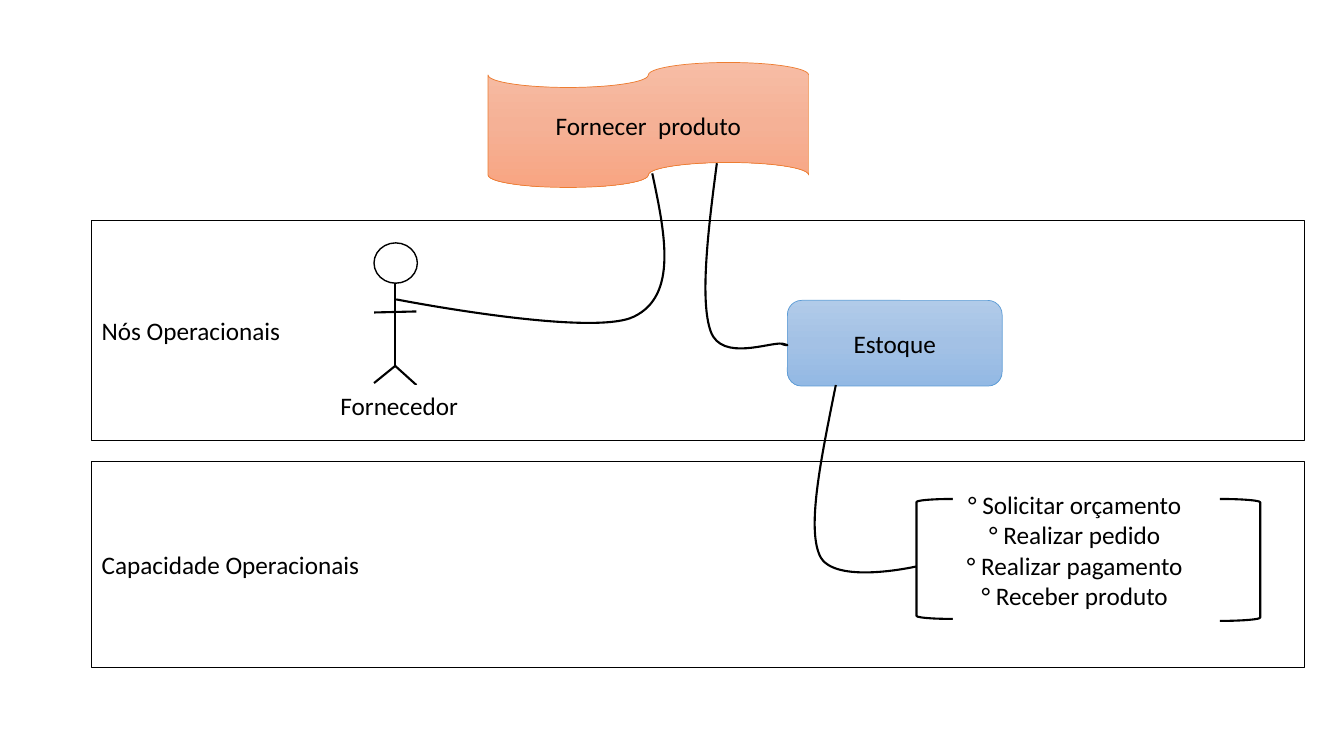
import copy
from dataclasses import dataclass

import pptx
import pptx.dml.color
import pptx.enum.shapes
import pptx.enum.text
import pptx.oxml
import pptx.oxml.ns
import pptx.util

Inches = pptx.util.Inches
Pt = pptx.util.Pt
SHAPE = pptx.enum.shapes.MSO_SHAPE
ALIGN = pptx.enum.text.PP_ALIGN
ANCHOR = pptx.enum.text.MSO_ANCHOR
NS = pptx.oxml.ns.nsdecls("a")


@dataclass(frozen=True)
class Theme:
    font: str = "Calibri"
    size: int = 18
    ink: str = "000000"
    paper: str = "FFFFFF"
    orange: tuple = ("F7BDA5", "F5B196", "F8A582")
    orange_line: str = "ED7D31"
    blue: tuple = ("B1CBE9", "A3C1E5", "93B9E4")
    blue_line: str = "5B9BD5"
    thin: float = 0.5
    frame: float = 1
    stroke: float = 1.5


THEME = Theme()


def rgb(value):
    return pptx.dml.color.RGBColor.from_string(value)


def apply(target, values):
    for name, value in values.items():
        setattr(target, name, value)


def set_line(line, color, width):
    if color is None:
        line.fill.background()
    else:
        line.color.rgb = rgb(color)
        line.width = Pt(width)


def set_fill(sp, color):
    """Fill with nothing, one colour, or an even vertical gradient."""
    fill = sp.fill
    if color is None:
        fill.background()
    elif isinstance(color, str):
        fill.solid()
        fill.fore_color.rgb = rgb(color)
    else:
        fill.gradient()
        fill.gradient_angle = 270
        gs_list = sp._element.spPr.find(".//" + pptx.oxml.ns.qn("a:gsLst"))
        while len(gs_list) < len(color):
            gs_list.append(copy.deepcopy(gs_list[0]))
        for i, (stop, value) in enumerate(zip(fill.gradient_stops, color)):
            stop.position = i / (len(color) - 1)
            stop.color.rgb = rgb(value)


def set_text(sp, lines, align, margin_bottom=0.05):
    tf = sp.text_frame
    apply(tf, {"word_wrap": True, "vertical_anchor": ANCHOR.MIDDLE,
               "auto_size": pptx.enum.text.MSO_AUTO_SIZE.NONE,
               "margin_bottom": Inches(margin_bottom)})
    for i, text in enumerate(lines):
        p = tf.add_paragraph() if i else tf.paragraphs[0]
        apply(p, {"alignment": align, "line_spacing": 1.0,
                  "space_before": Pt(0), "space_after": Pt(0)})
        r = p.add_run()
        r.text = text
        apply(r.font, {"name": THEME.font, "size": Pt(THEME.size)})
        r.font.color.rgb = rgb(THEME.ink)


def add_box(slide, kind, at, fill=None, line=THEME.ink, width=THEME.frame,
            text=None, align=ALIGN.CENTER):
    sp = slide.shapes.add_shape(kind, *map(Inches, at))
    sp.shadow.inherit = False
    set_fill(sp, fill)
    set_line(sp.line, line, width)
    if text:
        set_text(sp, [text], align)


def add_line(slide, start, end):
    sp = slide.shapes.add_connector(
        pptx.enum.shapes.MSO_CONNECTOR.STRAIGHT, *map(Inches, start + end))
    set_line(sp.line, THEME.ink, THEME.stroke)
    sp._element.spPr.append(pptx.oxml.parse_xml(f"<a:effectLst {NS}/>"))


def add_curve(slide, at, start, *segments):
    """Draw cubic segments (two handles and an end point) in the frame at."""
    left, top, width, height = at
    right, bottom = left + width, top + height
    builder = slide.shapes.build_freeform(Inches(left), Inches(top), scale=1.0)
    builder.add_line_segments(
        [(Inches(x), Inches(y)) for x, y in ((right, top), (right, bottom))],
        close=False)
    sp = builder.convert_to_shape()

    # Swap the frame's straight outline for the curve
    def point(xy):
        x, y = Inches(xy[0] - left), Inches(xy[1] - top)
        return f'<a:pt x="{x}" y="{y}"/>'

    outline = sp._element.spPr.find(".//" + pptx.oxml.ns.qn("a:pathLst"))[0]
    for step in list(outline):
        outline.remove(step)
    outline.append(pptx.oxml.parse_xml(
        f"<a:moveTo {NS}>{point(start)}</a:moveTo>"))
    for segment in segments:
        points = "".join(map(point, segment))
        outline.append(pptx.oxml.parse_xml(
            f"<a:cubicBezTo {NS}>{points}</a:cubicBezTo>"))
    sp.shadow.inherit = False
    set_fill(sp, None)
    set_line(sp.line, THEME.ink, THEME.stroke)


def add_band(slide, top, height, label):
    add_box(slide, SHAPE.RECTANGLE, (0.91, top, 12.03, height), THEME.paper,
            text=label, align=ALIGN.LEFT)


def add_actor(slide, name):
    left, mid, right = 3.71, 3.92, 4.13
    hip = (mid, 3.63)
    add_box(slide, SHAPE.FLOWCHART_CONNECTOR, (left, 2.41, 0.43, 0.4), THEME.paper)
    for start, end in (((mid, 2.81), hip), ((left, 3.1), (right, 3.09)),
                       (hip, (right, 3.82)), (hip, (left, 3.8))):
        add_line(slide, start, end)
    add_box(slide, SHAPE.RECTANGLE, (3.25, 3.82, 1.42, 0.41), THEME.paper,
            line=None, text=name)


def add_list(slide, at, lines):
    """Place the body placeholder in front, without the layout's bullets."""
    sp = slide.placeholders[1]
    apply(sp, dict(zip(("left", "top", "width", "height"), map(Inches, at))))
    set_fill(sp, THEME.paper)
    set_text(sp, lines, ALIGN.CENTER, margin_bottom=0.35)
    for p in sp.text_frame.paragraphs:
        pPr = p._p.get_or_add_pPr()
        for name in ("marL", "indent"):
            pPr.set(name, "0")
        pPr.append(pptx.oxml.parse_xml(f"<a:buNone {NS}/>"))
    slide.shapes._spTree.append(sp._element)


def main():
    prs = pptx.Presentation()
    prs.slide_width, prs.slide_height = Inches(13.33), Inches(7.5)
    slide = prs.slides.add_slide(prs.slide_layouts[1])
    title = slide.shapes.title._element
    title.getparent().remove(title)

    # Mission
    add_box(slide, SHAPE.FLOWCHART_PUNCHED_TAPE, (4.84, 0.62, 3.18, 1.24),
            THEME.orange, THEME.orange_line, THEME.thin, "Fornecer  produto")

    # Operational nodes
    add_band(slide, 2.19, 2.18, "Nós Operacionais ")
    add_actor(slide, "Fornecedor")
    add_box(slide, SHAPE.ROUNDED_RECTANGLE, (7.81, 2.98, 2.13, 0.85),
            THEME.blue, THEME.blue_line, THEME.thin, "Estoque")

    # Operational capabilities
    add_band(slide, 4.58, 2.04, "Capacidade Operacionais")
    for kind, at in ((SHAPE.LEFT_BRACKET, (9.09, 4.95, 0.36, 1.19)),
                     (SHAPE.RIGHT_BRACKET, (12.1, 4.95, 0.4, 1.21))):
        add_box(slide, kind, at, width=THEME.stroke)
    add_list(slide, (9.45, 4.9, 2.42, 1.41),
             ["° Solicitar orçamento", "° Realizar pedido",
              "° Realizar pagamento", "° Receber produto"])

    # Links: mission to actor, mission to stock, stock to capabilities
    add_curve(slide, (3.93, 1.72, 2.66, 1.49), (6.47, 1.72),
              ((6.6, 2.33), (6.72, 2.93), (6.29, 3.14)),
              ((5.87, 3.35), (3.93, 2.97), (3.93, 2.97)))
    add_curve(slide, (7, 1.62, 0.81, 1.84), (7.11, 1.62),
              ((7.02, 2.3), (6.94, 2.99), (7.05, 3.29)),
              ((7.16, 3.59), (7.64, 3.39), (7.76, 3.41)),
              ((7.88, 3.44), (7.75, 3.42), (7.75, 3.41)))
    add_curve(slide, (8.08, 3.82, 1.01, 1.86), (8.29, 3.82),
              ((8.15, 4.52), (8, 5.22), (8.13, 5.51)),
              ((8.26, 5.81), (9.09, 5.62), (9.09, 5.62)))

    prs.save("out.pptx")


main()
